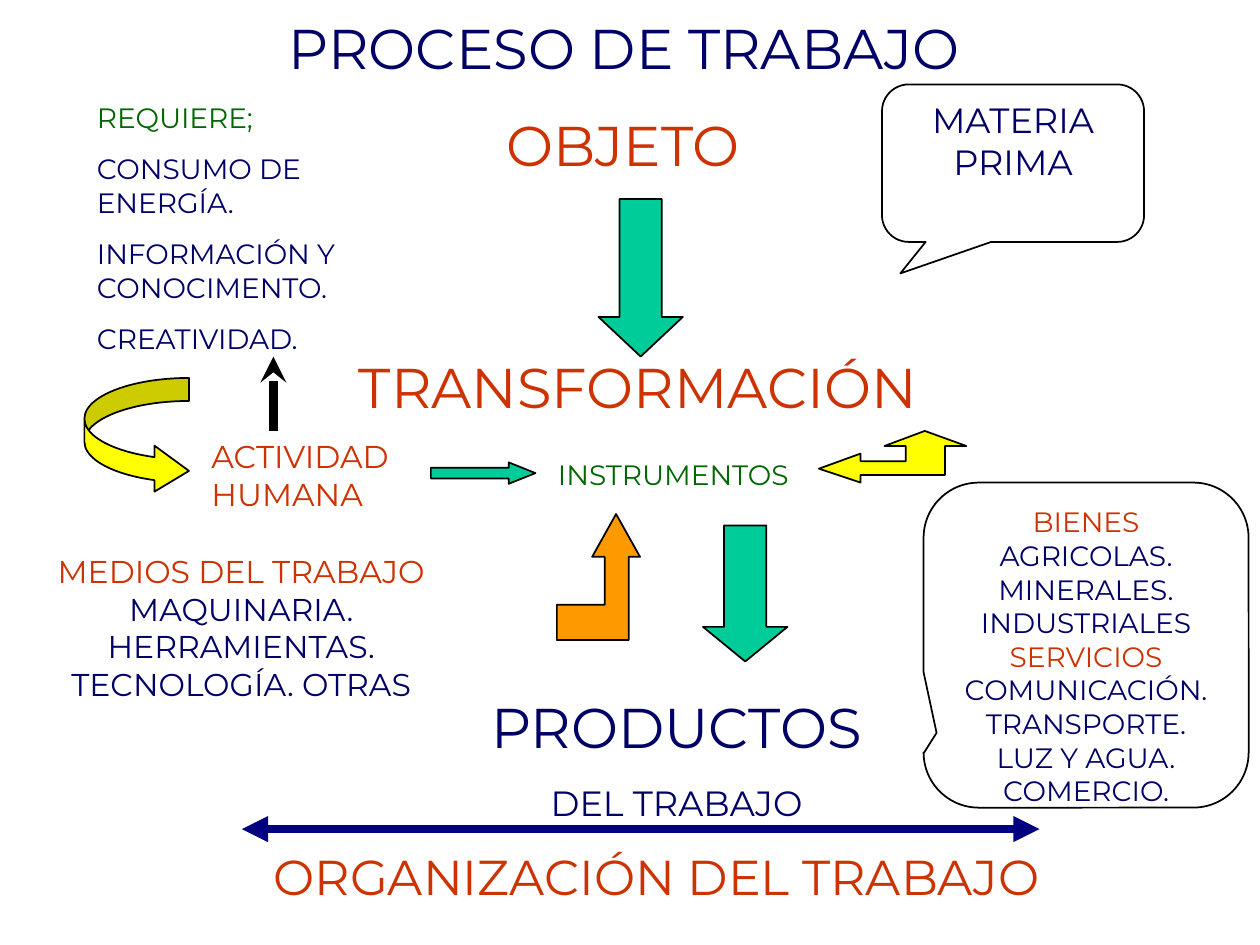
from lxml.etree import SubElement
from pptx import Presentation
from pptx.dml.color import RGBColor
from pptx.enum.shapes import MSO_CONNECTOR, MSO_SHAPE
from pptx.enum.text import MSO_ANCHOR, PP_ALIGN
from pptx.oxml.ns import qn
from pptx.util import Inches, Pt

COLORS = {
    "navy": "000066", "red": "CC3300", "green": "006600", "teal": "00CC99",
    "yellow": "FFFF00", "orange": "FF9900", "white": "FFFFFF",
    "black": "000000", "bar": "000080",
}
FONT = "Montserrat"
LEFT, CENTER = PP_ALIGN.LEFT, PP_ALIGN.CENTER


def write(frame, lines, align, anchor=MSO_ANCHOR.TOP):
    """Fill a text frame with (text, size, colour, space before) lines."""
    frame.word_wrap = True
    frame.vertical_anchor = anchor
    for i, (text, size, color, before) in enumerate(lines):
        paragraph = frame.paragraphs[0] if i == 0 else frame.add_paragraph()
        paragraph.text = text
        paragraph.alignment = align
        paragraph.space_before = Pt(before)
        look = {"name": FONT, "size": Pt(size)}
        for key, value in look.items():
            setattr(paragraph.runs[0].font, key, value)
        paragraph.runs[0].font.color.rgb = RGBColor.from_string(COLORS[color])


def paint(shape, color):
    """Solid fill, thin black outline, no shadow."""
    shape.shadow.inherit = False
    shape.fill.solid()
    shape.fill.fore_color.rgb = RGBColor.from_string(COLORS[color])
    shape.line.color.rgb = RGBColor.from_string(COLORS["black"])
    shape.line.width = Pt(1)


prs = Presentation()
prs.slide_width, prs.slide_height = Inches(10), Inches(7.5)
slide = prs.slides.add_slide(prs.slide_layouts[6])
shapes = slide.shapes

# Block arrows and callouts
goods = [("BIENES", "red"), ("AGRICOLAS.", "navy"), ("MINERALES.", "navy"),
         ("INDUSTRIALES", "navy"), ("SERVICIOS", "red"),
         ("COMUNICACIÓN.", "navy"), ("TRANSPORTE.", "navy"),
         ("LUZ Y AGUA.", "navy"), ("COMERCIO.", "navy")]
goods_lines = [(text, 16, color, 0) for text, color in goods]
material_lines = [("MATERIA PRIMA", 20, "navy", 0)]
CALLOUT = MSO_SHAPE.ROUNDED_RECTANGULAR_CALLOUT
presets = [
    (MSO_SHAPE.CURVED_RIGHT_ARROW, (0.67, 3, 0.83, 0.92), (0.22, 0.44, 0.33), "yellow", []),
    (CALLOUT, (7.33, 3.83, 2.58, 2.58), (-0.46, 0.27, 0.17), "white", goods_lines),
    (CALLOUT, (7, 0.67, 2.08, 1.25), (-0.43, 0.7, 0.17), "white", material_lines),
    (MSO_SHAPE.DOWN_ARROW, (4.75, 1.58, 0.67, 1.25), (0.5, 0.47), "teal", []),
    (MSO_SHAPE.DOWN_ARROW, (5.58, 4.17, 0.67, 1.08), (0.5, 0.41), "teal", []),
    (MSO_SHAPE.RIGHT_ARROW, (3.42, 3.67, 0.83, 0.17), (0.5, 1.25), "teal", []),
]
for kind, box, adjustments, color, lines in presets:
    block = shapes.add_shape(kind, *map(Inches, box))
    for i, value in enumerate(adjustments):
        block.adjustments[i] = value
    paint(block, color)
    write(block.text_frame, lines, CENTER)

# Bent arrows, outlined in hundredths of an inch
double_bend = [(650, 372), (683, 360), (683, 366), (719, 366), (719, 354), (702, 354),
               (734, 342), (767, 354), (750, 354), (750, 377), (683, 377), (683, 383)]
upward_bend = [(442, 480), (480, 480), (480, 442), (470, 442), (489, 408),
               (508, 442), (499, 442), (499, 508), (442, 508)]
for outline, color in [(double_bend, "yellow"), (upward_bend, "orange")]:
    builder = shapes.build_freeform(*outline[0], scale=Inches(0.01))
    builder.add_line_segments(outline[1:], close=True)
    paint(builder.convert_to_shape(), color)

# Text blocks
texts = [
    ((3.92, 0.83, 2.5, 0.64), LEFT, [("OBJETO", 32, "red", 0)]),
    ((2.75, 2.75, 5.42, 0.64), LEFT, [("TRANSFORMACIÓN", 32, "red", 0)]),
    ((3.58, 5.45, 3.58, 1.14), CENTER,
     [("PRODUCTOS", 32, "navy", 0), ("DEL TRABAJO", 20, "navy", 12.5)]),
    ((1.58, 3.42, 1.92, 0.7), LEFT, [("ACTIVIDAD HUMANA", 18, "red", 0)]),
    ((4.33, 3.58, 2.25, 0.37), LEFT, [("INSTRUMENTOS", 16, "green", 0)]),
    ((0.25, 4.33, 3.33, 1.3), CENTER,
     [("MEDIOS DEL TRABAJO", 18, "red", 0), ("MAQUINARIA.", 18, "navy", 0),
      ("HERRAMIENTAS.", 18, "navy", 0), ("TECNOLOGÍA. OTRAS", 18, "navy", 0)]),
    ((0.67, 0.75, 2.75, 1.85), LEFT,
     [("REQUIERE;", 16, "green", 0), ("CONSUMO DE ENERGÍA.", 16, "navy", 10),
      ("INFORMACIÓN Y CONOCIMENTO.", 16, "navy", 10), ("CREATIVIDAD.", 16, "navy", 10)]),
    ((1.25, 6.67, 7.92, 0.57), CENTER, [("ORGANIZACIÓN DEL TRABAJO", 28, "red", 0)]),
]
for box, align, lines in texts:
    write(shapes.add_textbox(*map(Inches, box)).text_frame, lines, align)

# Title
title = shapes.add_textbox(Inches(0.83), Inches(0.08), Inches(8.25), Inches(0.58))
write(title.text_frame, [("PROCESO DE TRABAJO", 32, "navy", 0)], CENTER, MSO_ANCHOR.MIDDLE)

# Line arrows
line_arrows = [
    ((2.17, 3.42, 2.17, 2.83), "black", {"tailEnd": "stealth"}),
    ((1.92, 6.58, 8.25, 6.58), "bar", {"headEnd": "triangle", "tailEnd": "triangle"}),
]
for ends, color, heads in line_arrows:
    arrow = shapes.add_connector(MSO_CONNECTOR.STRAIGHT, *map(Inches, ends))
    arrow.line.color.rgb = RGBColor.from_string(COLORS[color])
    arrow.line.width = Pt(5)
    for end, head in heads.items():
        SubElement(arrow.line._get_or_add_ln(), qn(f"a:{end}"), type=head)
    SubElement(arrow._element.spPr, qn("a:effectLst"))

prs.save("out.pptx")
